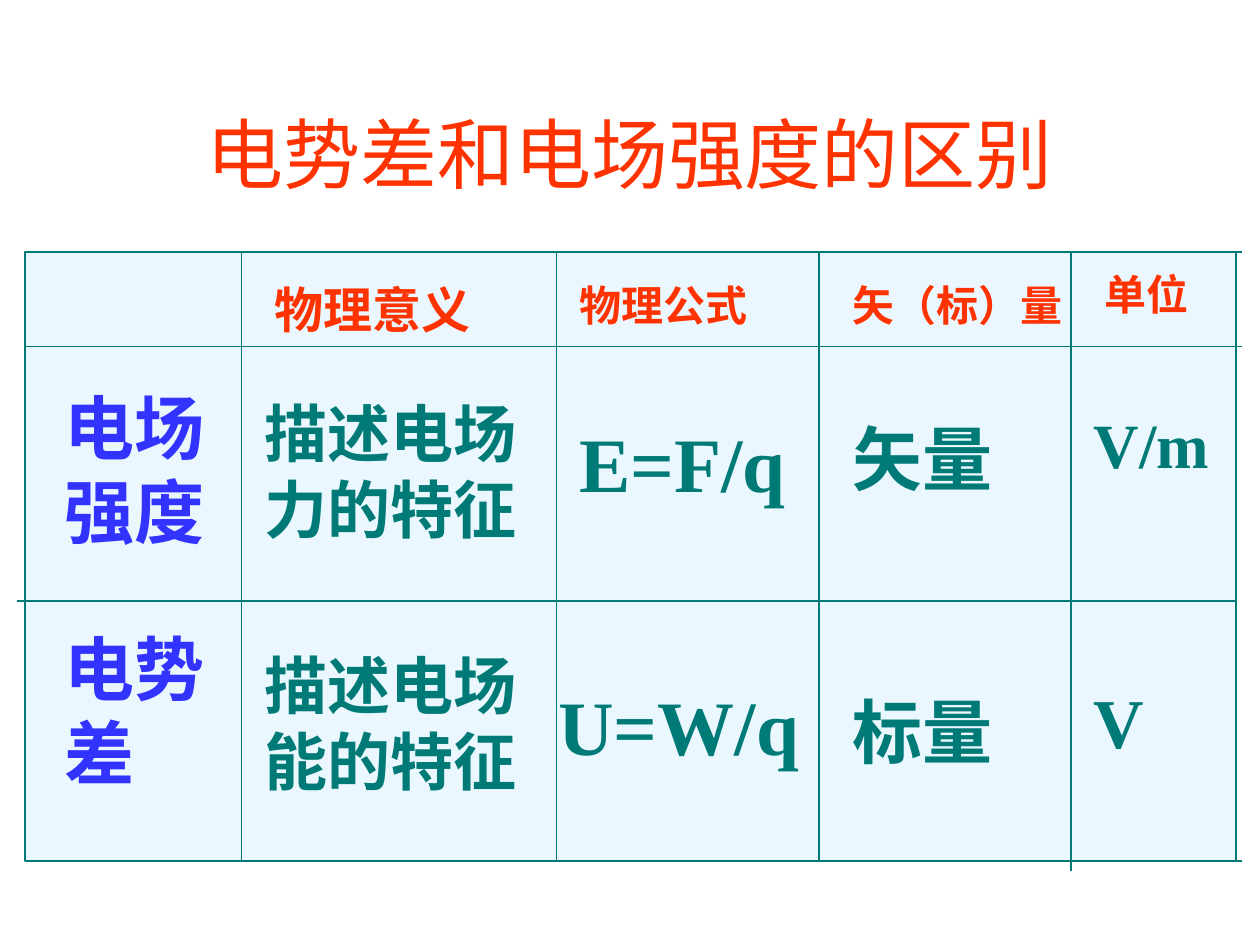
from dataclasses import dataclass

from lxml import etree
from pptx import Presentation
from pptx.dml.color import RGBColor
from pptx.enum import shapes, text
from pptx.oxml import ns
from pptx.util import Pt


@dataclass(frozen=True)
class Theme:
    red: str = "FF3300"
    blue: str = "3333FF"
    teal: str = "007A77"
    panel: str = "EBF7FF"
    title_font: str = "Arial"
    body_font: str = "Times New Roman"
    small: int = 24
    medium: int = 28
    large: int = 36
    label: int = 40
    title: int = 44
    rule: int = 1


T = Theme()

# Table frame
LEFT, TOP, WIDTH, HEIGHT = 14.4, 144, 692, 348
BOTTOM = TOP + HEIGHT

# Rules: (y, left end) and (x, bottom end)
ROW_RULES = [(TOP, LEFT), (198, LEFT), (343.5, 10), (BOTTOM, LEFT)]
RULE_LENGTH = 695.5
COLUMN_RULES = [(138, BOTTOM), (318, BOTTOM), (468, BOTTOM), (612, 498)]

# Words: text, left, top, width, height, size
HEADINGS = [
    ("物理意义", 150, 156, 156, 41, T.medium),
    ("物理公式", 324, 156, 126, 36, T.small),
    ("矢（标）量", 480, 156, 138, 36, T.small),
    ("单位", 624, 150, 84, 36, T.small),
]
ROW_LABELS = [
    ("电场强度", 30, 216, 126, 103, T.label),
    ("电势差", 30, 354, 132, 104, T.label),
]
ENTRIES = [
    ("描述电场力的特征", 144, 222, 162, 94, T.large),
    ("E=F/q", 324, 234, 174, 60, T.title),
    ("矢量", 480, 234, 138, 55, T.label),
    ("V/m", 618, 228, 90, 50, T.large),
    ("描述电场能的特征", 144, 366, 162, 94, T.large),
    ("U=W/q", 312, 384, 186, 60, T.title),
    ("标量", 480, 390, 120, 55, T.label),
    ("V", 618, 384, 90, 55, T.label),
]


def rgb(value):
    return RGBColor.from_string(value)


def add_panel(slide):
    sp = slide.shapes.add_shape(shapes.MSO_SHAPE.RECTANGLE,
                                Pt(LEFT), Pt(TOP), Pt(WIDTH), Pt(HEIGHT))
    sp.shadow.inherit = False
    sp.fill.solid()
    sp.fill.fore_color.rgb = rgb(T.panel)
    sp.line.color.rgb = rgb(T.teal)
    sp.line.width = Pt(T.rule)


def add_rule(slide, x1, y1, x2, y2):
    line = slide.shapes.add_connector(shapes.MSO_CONNECTOR.STRAIGHT,
                                      Pt(x1), Pt(y1), Pt(x2), Pt(y2))
    line.line.color.rgb = rgb(T.teal)
    line.line.width = Pt(T.rule)
    etree.SubElement(line._element.spPr, ns.qn("a:effectLst"))


def add_words(slide, words, left, top, width, height, size, color,
              font=T.body_font, bold=True):
    sp = slide.shapes.add_textbox(Pt(left), Pt(top), Pt(width), Pt(height))
    tf = sp.text_frame
    tf.word_wrap = True
    tf.text = words
    p = tf.paragraphs[0]
    r = p.runs[0]
    r.font.name = font
    r.font.size = Pt(size)
    r.font.bold = bold
    r.font.color.rgb = rgb(color)
    return tf


def add_title(slide, words):
    tf = add_words(slide, words, 36, 42, 648, 90, T.title, T.red,
                   T.title_font, False)
    tf.vertical_anchor = text.MSO_ANCHOR.MIDDLE
    tf.paragraphs[0].alignment = text.PP_ALIGN.CENTER


def main():
    prs = Presentation()
    prs.slide_width, prs.slide_height = Pt(720), Pt(540)
    slide = prs.slides.add_slide(prs.slide_layouts[6])

    add_title(slide, "电势差和电场强度的区别")

    # Panel and grid
    add_panel(slide)
    for y, x in ROW_RULES:
        add_rule(slide, x, y, x + RULE_LENGTH, y)
    for x, bottom in COLUMN_RULES:
        add_rule(slide, x, TOP, x, bottom)

    # Words in the grid
    for group, color in ((HEADINGS, T.red), (ROW_LABELS, T.blue),
                         (ENTRIES, T.teal)):
        for item in group:
            add_words(slide, *item, color)

    prs.save("out.pptx")


if __name__ == "__main__":
    main()
